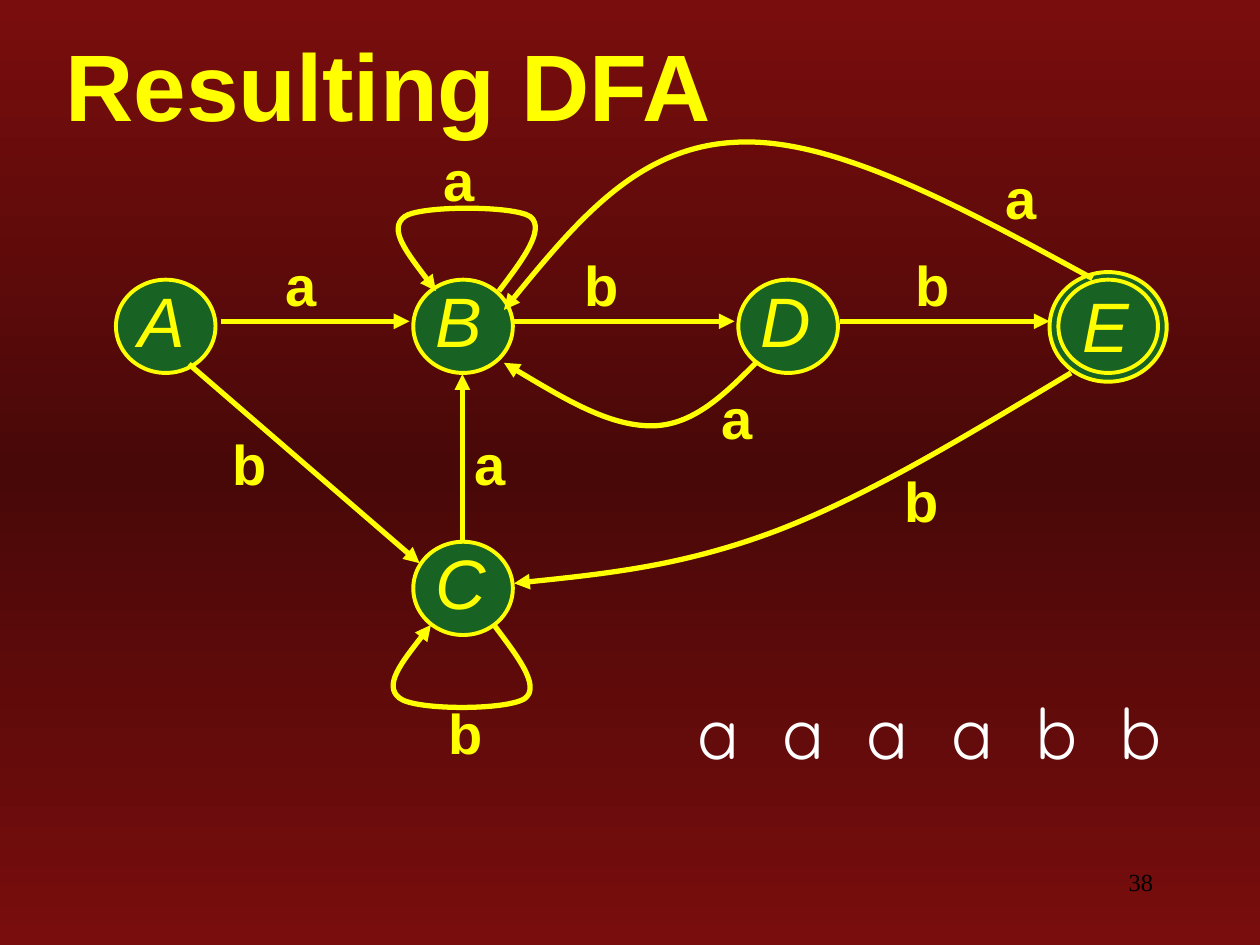
from copy import deepcopy
from pptx import Presentation, util as u
from pptx.dml.color import RGBColor
from pptx.enum import shapes as sh, text as tx
from pptx.oxml import parse_xml
from pptx.oxml.ns import nsdecls, qn

# Theme: colours, fonts and type sizes
THEME = dict(edge="FFFF00", node="186224", glow="CCCCFF",
             back=[(0, "790D0D"), (50, "490808"), (100, "790D0D")],
             rim=2.25, wire=3)
FONT = {
    "title": dict(name="Arial", size=54, bold=True, color="FFFF00"),
    "state": dict(name="Arial", size=40, italic=True, color="FFFF00"),
    "label": dict(name="Arial", size=32, bold=True, color="FFFF00"),
    "input": dict(name="Quicksand", size=40, color="FFFFFF"),
    "page": dict(name="Times New Roman", size=14, color="000000"),
}

# Content: states (left, top), edges, labels and the input string
NODE = (0.79, 0.74)
STATES = {"A": (0.92, 2.22), "B": (3.28, 2.22), "D": (5.86, 2.22),
          "C": (3.28, 4.3)}
FINAL = ("E", 8.4, 2.22)
LINES = [(1.75, 2.55, 3.25, 2.55), (4.08, 2.55, 5.83, 2.55),
         (6.67, 2.55, 8.33, 2.55), (1.5, 2.89, 3.33, 4.47),
         (3.67, 4.3, 3.67, 2.97)]
# Each curve: a start, then three Bezier points per segment
CURVES = [
    [(3.92, 4.96), (4.1, 5.2), (4.29, 5.44), (4.17, 5.54), (4.04, 5.64),
     (3.29, 5.64), (3.17, 5.54), (3.04, 5.44), (3.23, 5.2), (3.42, 4.96)],
    [(3.96, 2.31), (4.15, 2.06), (4.33, 1.82), (4.21, 1.72), (4.08, 1.63),
     (3.33, 1.63), (3.21, 1.72), (3.08, 1.82), (3.27, 2.06), (3.46, 2.31)],
    [(8.5, 2.96), (7.7, 3.44), (6.9, 3.93), (6.17, 4.21), (5.43, 4.49),
     (4.76, 4.56), (4.08, 4.63)],
    [(6, 2.88), (5.75, 3.13), (5.5, 3.38), (5.17, 3.38), (4.83, 3.38),
     (4.42, 3.13), (4, 2.88)],
    [(8.67, 2.21), (7.64, 1.65), (6.61, 1.08), (5.83, 1.13), (5.06, 1.17),
     (4.53, 1.81), (4, 2.46)],
]
LABELS = [("a", 3.42, 1.21), ("b", 1.75, 3.46), ("a", 3.67, 3.46),
          ("b", 4.54, 2.04), ("b", 7.17, 2.04), ("a", 2.17, 2.04),
          ("b", 3.46, 5.6), ("b", 7.08, 3.76), ("a", 5.63, 3.1),
          ("a", 7.88, 1.35)]
WORD = "aaaabb"

deck = Presentation()
deck.slide_width, deck.slide_height = u.Inches(10), u.Inches(7.5)
slide = deck.slides.add_slide(deck.slide_layouts[6])


def write(home, words, box, kind, ls=None, **frame):
    """Add a text box to a shape tree and return its run."""
    tf = home.add_textbox(*map(u.Inches, box)).text_frame
    for key, val in {"word_wrap": True, **frame}.items():
        setattr(tf, key, val)
    par = tf.paragraphs[0]
    if ls:
        par.line_spacing = ls
    run = par.add_run()
    run.text = words
    form = dict(FONT[kind])
    run.font.color.rgb = RGBColor.from_string(form.pop("color"))
    form["size"] = u.Pt(form["size"])
    for key, val in form.items():
        setattr(run.font, key, val)
    return par, run


def ring(home, x, y, w, h):
    """Draw one filled state outline."""
    oval = home.add_shape(sh.MSO_SHAPE.OVAL, *map(u.Inches, (x, y, w, h)))
    oval.shadow.inherit = False
    oval.fill.solid()
    oval.fill.fore_color.rgb = RGBColor.from_string(THEME["node"])
    oval.line.color.rgb = RGBColor.from_string(THEME["edge"])
    oval.line.width = u.Pt(THEME["rim"])


def arrow(part):
    """Style a line or curve as an edge with an arrowhead."""
    part.line.color.rgb = RGBColor.from_string(THEME["edge"])
    part.line.width = u.Pt(THEME["wire"])
    part.line._get_or_add_ln().append(
        parse_xml(f'<a:tailEnd {nsdecls("a")} type="triangle"/>'))
    part._element.spPr.append(parse_xml(f'<a:effectLst {nsdecls("a")}/>'))


def curve(pts):
    """Draw a freeform whose vertices serve as cubic Bezier points."""
    pts = [tuple(map(u.Inches, p)) for p in pts]
    pen = slide.shapes.build_freeform(*pts[0])
    pen.add_line_segments(pts[1:], close=False)
    part = pen.convert_to_shape()
    legs = list(part._element.iter(qn("a:lnTo")))
    for i in range(0, len(legs), 3):
        bend = parse_xml(f'<a:cubicBezTo {nsdecls("a")}/>')
        legs[i].addprevious(bend)
        for leg in legs[i:i + 3]:
            bend.append(leg[0])
            leg.getparent().remove(leg)
    part.fill.background()
    arrow(part)


# Background gradient
fill = slide.background.fill
fill.gradient()
fill.gradient_angle = 90
first = next(slide.element.iter(qn("a:gs")))
first.addnext(deepcopy(first))
for stop, (pos, hue) in zip(fill.gradient_stops, THEME["back"]):
    stop.position = pos / 100
    stop.color.rgb = RGBColor.from_string(hue)

# Page number and shadowed title
par, _ = write(slide.shapes, "38", (7.17, 6.83, 2.08, 0.5), "page")
par.alignment = tx.PP_ALIGN.RIGHT
_, run = write(slide.shapes, "Resulting DFA", (0.42, 0.25, 9.67, 0.83),
               "title", vertical_anchor=tx.MSO_ANCHOR.MIDDLE)
run.font._element.find(qn("a:solidFill")).addnext(parse_xml(
    f'<a:effectLst {nsdecls("a")}><a:outerShdw dist="25400" dir="2700000">'
    f'<a:srgbClr val="{THEME["glow"]}"/></a:outerShdw></a:effectLst>'))

# States; the accepting one has a second ring
grow = dict(auto_size=tx.MSO_AUTO_SIZE.SHAPE_TO_FIT_TEXT)
for name, (x, y) in STATES.items():
    ring(slide.shapes, x, y, *NODE)
    write(slide.shapes, name, (x + 0.08, y + 0.06, 0.53, 0.64), "state",
          0.8, **grow)
name, x, y = FINAL
home = slide.shapes.add_group_shape().shapes
ring(home, x - 0.07, y - 0.06, NODE[0] + 0.14, NODE[1] + 0.13)
ring(home, x, y, *NODE)
write(home, name, (x + 0.09, y + 0.1, 0.58, 0.64), "state", 0.8, **grow)

# Edges and their labels
for ends in LINES:
    arrow(slide.shapes.add_connector(sh.MSO_CONNECTOR.STRAIGHT,
                                     *map(u.Inches, ends)))
for pts in CURVES:
    curve(pts)
for sign, x, y in LABELS:
    write(slide.shapes, sign, (x, y, 0.63, 0.53), "label", 0.8, **grow)

# Input string, one box per letter
for i, sign in enumerate(WORD):
    wide = 0.51 if sign == "a" else 0.54
    write(slide.shapes, sign, (5.44 + 0.67 * i, 5.42, wide, 0.77), "input",
          word_wrap=False, **grow)

deck.save("out.pptx")
